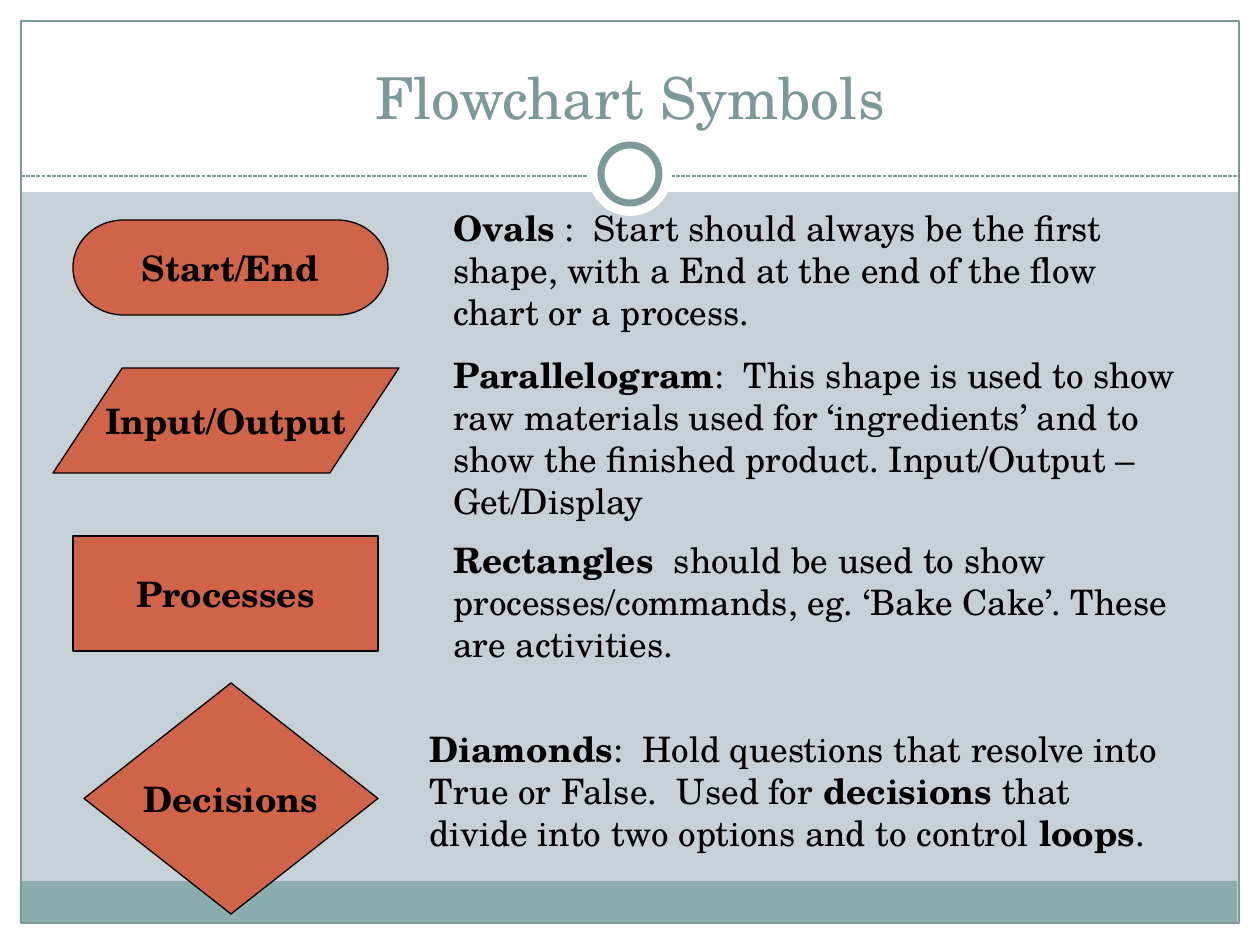
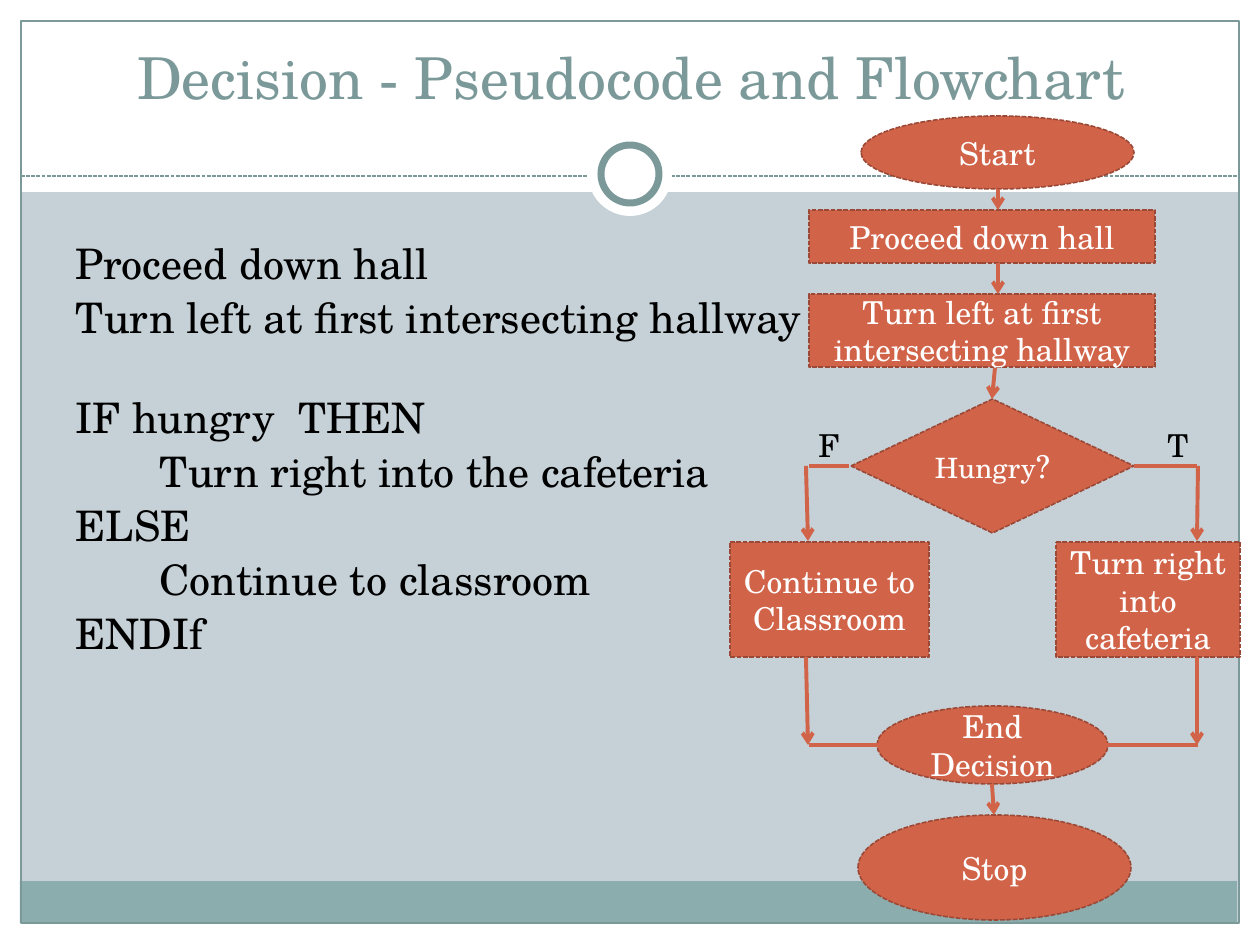
import pptx
import pptx.dml.color
import pptx.enum.dml
import pptx.enum.shapes
import pptx.enum.text
import pptx.oxml
import pptx.oxml.ns
import pptx.util

# ---- Shared style ----
PX_PER_INCH = 126
FONT = "TeX Gyre Schola"
COLORS = {
    "backdrop": "C5D1D7", "white": "FFFFFF", "footer": "8CADAE",
    "frame": "7C999A", "orange": "D16349", "rust": "9B4936", "black": "000000",
}
SHAPE = pptx.enum.shapes.MSO_SHAPE
ALIGN = pptx.enum.text.PP_ALIGN
ANCHOR = pptx.enum.text.MSO_ANCHOR
DASH = pptx.enum.dml.MSO_LINE.SQUARE_DOT

# Boxes are (left, top, width, height) in px
BANDS = [
    ("white", (0, 924, 1260, 21)),
    ("white", (0, 0, 1260, 192)),
    ("white", (0, 0, 21, 945)),
    ("white", (1239, 0, 21, 945)),
    ("footer", (20, 881, 1217, 42)),
]
BORDER = (21, 21, 1218, 902)
RULE = (21, 176, 1239, 176)
RING_GAP = (588, 132, 84, 84)
RING = (601, 145, 58, 58)

# ---- Slide 1 content: symbol, its box, its label, text box, (text, bold) runs ----
SYMBOLS_TITLE = ("Flowchart Symbols", (42, 32, 1176, 105))
SYMBOLS = [
    (SHAPE.FLOWCHART_TERMINATOR, (73, 220, 315, 95), "Start/End",
     (441, 200, 756, 140),
     [("Ovals", True),
      (" :  Start should always be the first shape, with a End at the end "
       "of the flow chart or a process.", False)]),
    (SHAPE.FLOWCHART_DATA, (53, 368, 346, 105), "Input/Output",
     (441, 347, 756, 183),
     [("Parallelogram", True),
      (":  This shape is used to show raw materials used for ‘ingredients’ "
       "and to show the finished product. Input/Output – Get/Display", False)]),
    (SHAPE.FLOWCHART_PROCESS, (73, 536, 305, 115), "Processes",
     (441, 532, 756, 140),
     [("Rectangles  ", True),
      ("should be used to show processes/commands, eg. ‘Bake Cake’. "
       "These are activities.", False)]),
    (SHAPE.FLOWCHART_DECISION, (84, 683, 294, 231), "Decisions",
     (417, 721, 756, 140),
     [("Diamonds", True),
      (":  Hold questions that resolve into True or False.  Used for ", False),
      ("decisions", True),
      (" that  divide into two options and to control ", False),
      ("loops", True),
      (".", False)]),
]

# ---- Slide 2 content ----
DECISION_TITLE = ("Decision - Pseudocode and Flowchart", (64, 19, 1134, 98))
PSEUDOCODE_BOX = (63, 237, 1134, 607)
INDENT = 84
PSEUDOCODE = [  # indent level, space before in points, text
    (0, 0, "Proceed down hall"),
    (0, 5, "Turn left at first intersecting hallway"),
    (0, 31, "IF hungry  THEN"),
    (1, 5, "Turn right into the cafeteria"),
    (0, 5, "ELSE"),
    (1, 5, "Continue to classroom"),
    (0, 5, "ENDIf"),
]
STEPS = [  # symbol, box, (text, size) runs
    (SHAPE.OVAL, (861, 116, 273, 73), [("Start", 18)]),
    (SHAPE.RECTANGLE, (809, 210, 346, 53), [("Proceed down hall", 18)]),
    (SHAPE.RECTANGLE, (809, 294, 346, 73),
     [("Turn left at first intersecting hallway", 18)]),
    (SHAPE.FLOWCHART_DECISION, (851, 399, 283, 134), [("Hungry", 16), ("?", 18)]),
    (SHAPE.FLOWCHART_PROCESS, (730, 542, 199, 115), [("Continue to Classroom", 18)]),
    (SHAPE.FLOWCHART_PROCESS, (1056, 542, 184, 115),
     [("Turn right into cafeteria", 18)]),
    (SHAPE.OVAL, (877, 706, 231, 78), [("End Decision", 18)]),
    (SHAPE.OVAL, (858, 815, 273, 105), [("Stop", 18)]),
]
ARROWS = [  # x1, y1, x2, y2
    (998, 189, 998, 210), (998, 263, 998, 294), (995, 368, 992, 399),
    (806, 466, 808, 541), (1198, 466, 1197, 541),
    (806, 657, 808, 745), (1197, 657, 1197, 745), (992, 784, 994, 815),
]
PLAIN_LINES = [
    (1134, 466, 1197, 466), (849, 466, 809, 466), (1198, 745, 809, 745),
]
BRANCH_LABELS = [("F", (806, 420, 42, 50)), ("T", (1155, 420, 42, 50))]


# ---- Helpers ----
def px(value):
    return pptx.util.Inches(value / PX_PER_INCH)


def rgb(name):
    return pptx.dml.color.RGBColor.from_string(COLORS[name])


def style_line(line, color, width, dashed=False):
    line.color.rgb = rgb(color)
    line.width = pptx.util.Pt(width)
    if dashed:
        line.dash_style = DASH


def add_run(p, text, size, color="black", bold=False):
    r = p.add_run()
    r.text = text
    r.font.name = FONT
    r.font.size = pptx.util.Pt(size)
    r.font.bold = bold
    r.font.color.rgb = rgb(color)


def add_box(s, kind, box, fill=None, line=None, width=0.75, dashed=False):
    sp = s.shapes.add_shape(kind, *map(px, box))
    sp.shadow.inherit = False
    if fill:
        sp.fill.solid()
        sp.fill.fore_color.rgb = rgb(fill)
    else:
        sp.fill.background()
    if line:
        style_line(sp.line, line, width, dashed)
    else:
        sp.line.fill.background()
    return sp


def center_text(sp, wrap=True):
    tf = sp.text_frame
    tf.word_wrap = wrap
    tf.vertical_anchor = ANCHOR.MIDDLE
    p = tf.paragraphs[0]
    p.alignment = ALIGN.CENTER
    return p


def add_text_box(s, box):
    tf = s.shapes.add_textbox(*map(px, box)).text_frame
    tf.word_wrap = True
    return tf


def add_line(s, ends, color, width, dashed=False, arrow=False):
    c = s.shapes.add_connector(
        pptx.enum.shapes.MSO_CONNECTOR.STRAIGHT, *map(px, ends))
    style_line(c.line, color, width, dashed)
    if arrow:
        tail = pptx.oxml.parse_xml(
            f'<a:tailEnd {pptx.oxml.ns.nsdecls("a")} type="arrow"/>')
        c.line._get_or_add_ln().append(tail)
    c._element.spPr.append(
        pptx.oxml.parse_xml(f'<a:effectLst {pptx.oxml.ns.nsdecls("a")}/>'))


def add_framed_slide(prs, title, title_box):
    s = prs.slides.add_slide(prs.slide_layouts[6])
    s.background.fill.solid()
    s.background.fill.fore_color.rgb = rgb("backdrop")
    for color, box in BANDS:
        add_box(s, SHAPE.RECTANGLE, box, color)
    add_box(s, SHAPE.RECTANGLE, BORDER, line="frame")
    add_line(s, RULE, "frame", 0.75, dashed=True)
    add_box(s, SHAPE.OVAL, RING_GAP, "white")
    add_box(s, SHAPE.OVAL, RING, "white", "frame", 4)
    tf = add_text_box(s, title_box)
    tf.vertical_anchor = ANCHOR.BOTTOM
    tf.paragraphs[0].alignment = ALIGN.CENTER
    add_run(tf.paragraphs[0], title, 33, "frame")
    return s


# ---- Slides ----
def build_symbols(prs):
    s = add_framed_slide(prs, *SYMBOLS_TITLE)
    for kind, box, label, text_box, runs in SYMBOLS:
        sp = add_box(s, kind, box, "orange", "black")
        add_run(center_text(sp, wrap=False), label, 20, bold=True)
        p = add_text_box(s, text_box).paragraphs[0]
        for text, bold in runs:
            add_run(p, text, 20, bold=bold)


def build_decision(prs):
    s = add_framed_slide(prs, *DECISION_TITLE)

    # Pseudocode
    tf = add_text_box(s, PSEUDOCODE_BOX)
    for i, (level, space, text) in enumerate(PSEUDOCODE):
        p = tf.add_paragraph() if i else tf.paragraphs[0]
        p.line_spacing = 0.9
        p.space_before = pptx.util.Pt(space)
        p._p.get_or_add_pPr().set("marL", str(px(level * INDENT)))
        add_run(p, text, 24)

    # Flowchart
    for kind, box, runs in STEPS:
        sp = add_box(s, kind, box, "orange", "rust", 0.9, dashed=True)
        p = center_text(sp)
        for text, size in runs:
            add_run(p, text, size, "white")
    for ends in ARROWS:
        add_line(s, ends, "orange", 2.25, arrow=True)
    for ends in PLAIN_LINES:
        add_line(s, ends, "orange", 2.25)
    for label, box in BRANCH_LABELS:
        add_run(add_text_box(s, box).paragraphs[0], label, 18)


def main():
    prs = pptx.Presentation()
    prs.slide_width, prs.slide_height = px(1260), px(945)
    build_symbols(prs)
    build_decision(prs)
    prs.save("out.pptx")


if __name__ == "__main__":
    main()
